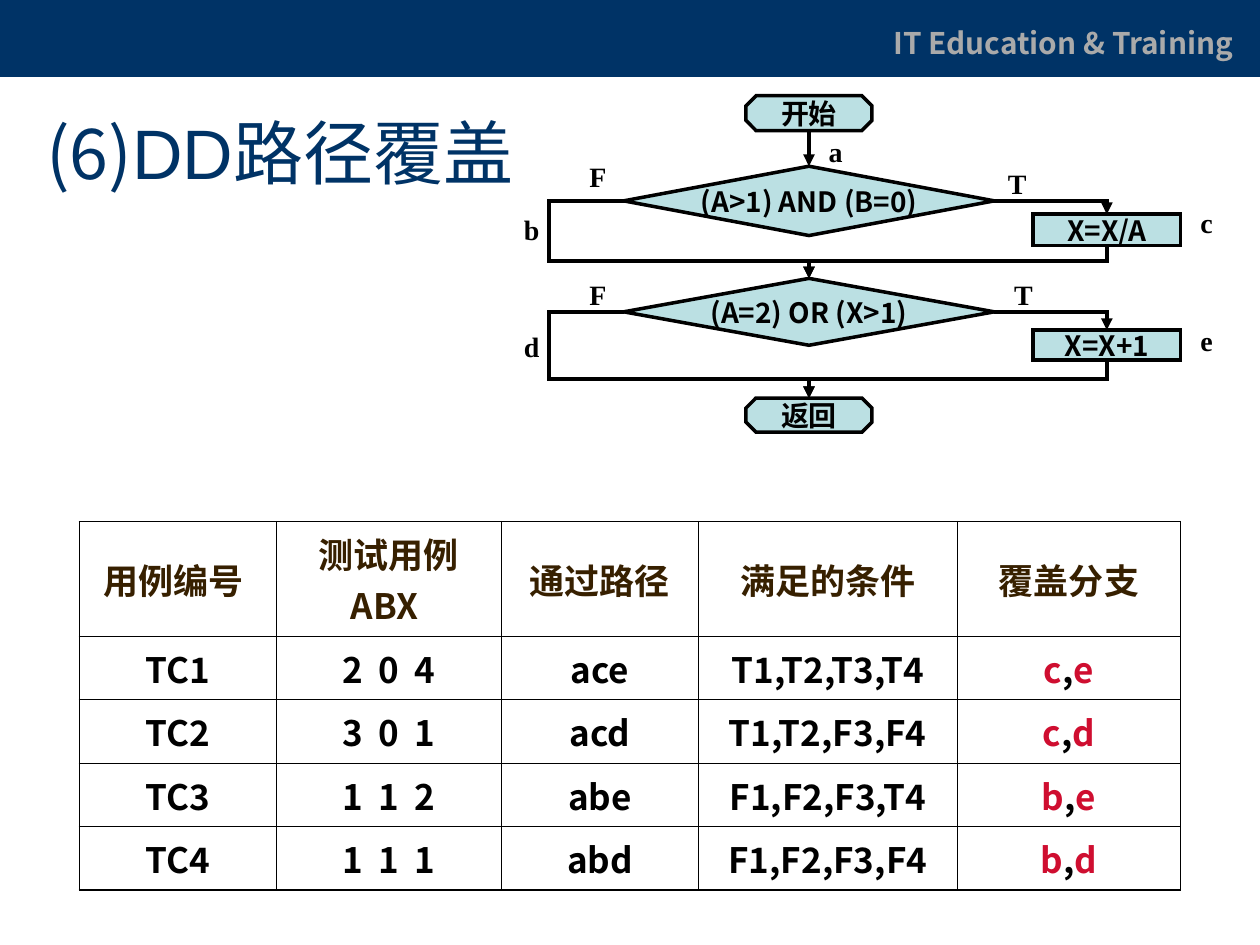
from dataclasses import dataclass

from lxml import etree
from pptx import Presentation
from pptx.dml.color import RGBColor
from pptx.enum.shapes import MSO_CONNECTOR, MSO_SHAPE
from pptx.enum.text import MSO_ANCHOR, PP_ALIGN
from pptx.oxml.ns import qn
from pptx.util import Pt

LEFT, MID = PP_ALIGN.LEFT, PP_ALIGN.CENTER
TOP, CENTER = MSO_ANCHOR.TOP, MSO_ANCHOR.MIDDLE
RECT, DIAMOND, OCTAGON = MSO_SHAPE.RECTANGLE, MSO_SHAPE.DIAMOND, MSO_SHAPE.OCTAGON
STRAIGHT = MSO_CONNECTOR.STRAIGHT


@dataclass(frozen=True)
class Theme:
    """Colours, fonts and sizes."""

    navy: str = "003366"
    grey: str = "AAAAAA"
    aqua: str = "BBE0E3"
    brown: str = "372000"
    red: str = "CF0E30"
    black: str = "000000"
    sans: str = "Noto Sans CJK SC"
    latin: str = "Arial"
    serif: str = "Times New Roman"
    title: float = 40
    cell: float = 20
    brand: float = 17
    flow: float = 16
    edge: float = 2
    route: float = 2.25
    thick: float = 1.08
    thin: float = 0.45


T = Theme()


def put(frame, text, size=T.flow, face=T.sans, color=T.black, bold=True,
        align=LEFT, anchor=TOP, wrap=True, gap=0):
    """Write text, or (text, changes) runs, with gap in hundredths of a point."""
    frame.word_wrap = wrap
    frame.vertical_anchor = anchor
    para = frame.paragraphs[0]
    para.alignment = align
    runs = [(text, {})] if isinstance(text, str) else text
    for words, change in runs:
        look = {"face": face, "color": color, **change}
        run = para.add_run()
        run.text = words
        font = run.font
        font.size, font.bold, font.name = Pt(size), bold, look["face"]
        font.color.rgb = RGBColor.from_string(look["color"])
        props = run._r.get_or_add_rPr()
        etree.SubElement(props, qn("a:ea")).set("typeface", look["face"])
        if gap:
            props.set("spc", str(gap))


def label(slide, box, text, **form):
    """Add a text box."""
    area = slide.shapes.add_textbox(*map(Pt, box))
    put(area.text_frame, text, **form)


def stroke(shape, width, arrow=False):
    """Draw a black line with sharp corners, and an arrowhead if asked."""
    shape.line.color.rgb = RGBColor.from_string(T.black)
    shape.line.width = Pt(width)
    line = shape.line._get_or_add_ln()
    etree.SubElement(line, qn("a:miter")).set("lim", "800000")
    if arrow:
        etree.SubElement(line, qn("a:tailEnd")).set("type", "triangle")


def block(slide, kind, box, fill):
    """Add a filled shape without line or shadow."""
    shape = slide.shapes.add_shape(kind, *map(Pt, box))
    shape.shadow.inherit = False
    shape.fill.solid()
    shape.fill.fore_color.rgb = RGBColor.from_string(fill)
    shape.line.fill.background()
    return shape


def node(slide, kind, box, text):
    """Add one step of the flow chart."""
    shape = block(slide, kind, box, T.aqua)
    stroke(shape, T.edge)
    put(shape.text_frame, text, align=MID, anchor=CENTER, wrap=False)
    return shape


def route(slide, points):
    """Draw an arrow with square bends through the points."""
    start, *rest = [(Pt(x), Pt(y)) for x, y in points]
    pen = slide.shapes.build_freeform(*start)
    pen.add_line_segments(rest, close=False)
    shape = pen.convert_to_shape()
    shape.shadow.inherit = False
    shape.fill.background()
    stroke(shape, T.route, arrow=True)


def drop(slide, x, top, goal):
    """Draw a straight arrow down to the top of a step."""
    line = slide.shapes.add_connector(STRAIGHT, Pt(x), Pt(top), Pt(x), goal.top)
    line.end_connect(goal, 0)
    stroke(line, T.route, arrow=True)
    etree.SubElement(line._element.spPr, qn("a:effectLst"))


def header(slide, box):
    """Place the top band and its line of text."""
    x, y, w, h = box
    block(slide, RECT, box, T.navy)
    label(slide, (x + w - 216.5, y + 10.8, 211, 47.5), "IT Education & Training",
          size=T.brand, color=T.grey)


def title(slide, box):
    """Place the slide title."""
    runs = [("(6)", {}), ("DD", {"face": T.latin}), ("路径覆盖", {})]
    label(slide, box, runs, size=T.title, color=T.navy, bold=False, anchor=CENTER)


def flow(slide, box):
    """Place the flow chart of two decisions."""
    x, y, w, h = box
    mid, side, loop = x + 170, x + 340.2, x + 21.6
    half, wide = 105.9, 84.2
    node(slide, OCTAGON, (mid - 36, y, 72, 20), "开始")
    node(slide, OCTAGON, (mid - 36, y + h - 19.4, 72, 19.4), "返回")
    stages = [
        ("(A>1) AND (B=0)", 40.3, 39.6, "X=X/A", 67.7, 18, 94.6, 104.4),
        ("(A=2) OR (X>1)", 104.4, 38.2, "X=X+1", 133.9, 17.3, 162, h - 19.4),
    ]
    tests = []
    for test, top, tall, act, low, deep, join, end in stages:
        tests.append(node(slide, DIAMOND, (mid - half, y + top, 2 * half, tall), test))
        node(slide, RECT, (side - wide / 2, y + low, wide, deep), act)
        row, bend, tip = y + top + tall / 2, y + join, y + end
        route(slide, [(mid + half, row), (side, row), (side, y + low)])
        route(slide, [(side, y + low + deep), (side, bend), (mid, bend), (mid, tip)])
        route(slide, [(mid - half, row), (loop, row), (loop, bend), (mid, bend),
                      (mid, tip)])
    drop(slide, mid, y + 20, tests[0])
    marks = [("F", 37.4, 33.1), ("F", 37.4, 100.1), ("T", 276.5, 36.7),
             ("T", 280.1, 100.1), ("a", 174.2, 18.7), ("b", 0, 63.4),
             ("d", 0, 130.3), ("c", 386.6, 59), ("e", 386.6, 126.7)]
    for text, dx, dy in marks:
        label(slide, (x + dx, y + dy, 20, 26), text, face=T.serif)


def frame(cell, sides):
    """Set the widths of a cell's borders."""
    props = cell._tc.get_or_add_tcPr()
    for side in "LRTB":
        line = etree.SubElement(props, qn(f"a:ln{side}"))
        line.set("w", str(Pt(T.thick if side in sides else T.thin)))
        fill = etree.SubElement(line, qn("a:solidFill"))
        etree.SubElement(fill, qn("a:srgbClr")).set("val", T.black)
    cell.fill.background()


def cases(slide, box):
    """Place the table of test cases."""
    rows = [
        ("用例编号 ", "测试用例ABX ", "通过路径", "满足的条件", "覆盖分支"),
        ("TC1", "2 0 4", "ace", "T1,T2,T3,T4", "c,e"),
        ("TC2", "3 0 1", "acd", "T1,T2,F3,F4", "c,d"),
        ("TC3", "1 1 2", "abe", "F1,F2,F3,T4", "b,e"),
        ("TC4", "1 1 1", "abd", "F1,F2,F3,F4", "b,d"),
    ]
    wides = (112.5, 128.7, 112.5, 148, 127.6)
    head = 65.6
    last, end = len(rows) - 1, len(wides) - 1
    grid = slide.shapes.add_table(len(rows), len(wides), *map(Pt, box)).table
    grid.first_row = grid.horz_banding = False
    for col, wide in zip(grid.columns, wides):
        col.width = Pt(wide)
    for i, row in enumerate(rows):
        grid.rows[i].height = Pt(head if i == 0 else (box[3] - head) / last)
        for j, text in enumerate(row):
            cell = grid.cell(i, j)
            edges = {"T": i == 0, "B": i == last, "L": j == 0, "R": j == end}
            frame(cell, [side for side, outer in edges.items() if outer])
            if i and j == end:
                first, second = text.split(",")
                text = [(first, {"color": T.red}), (",", {}),
                        (second, {"color": T.red})]
            put(cell.text_frame, text, size=T.cell, align=MID,
                color=T.black if i else T.brown, gap=220 if i and j == 1 else 0)
            cell.vertical_anchor = CENTER


def main():
    """Build the slide and save it."""
    deck = Presentation()
    deck.slide_width, deck.slide_height = Pt(720), Pt(540)
    slide = deck.slides.add_slide(deck.slide_layouts[6])
    header(slide, (0, 0, 720, 44))
    title(slide, (19.4, 49, 645.8, 74.9))
    cases(slide, (45.4, 298.1, 629.3, 210.4))
    flow(slide, (292.3, 54.7, 406, 192.2))
    deck.save("out.pptx")


if __name__ == "__main__":
    main()
